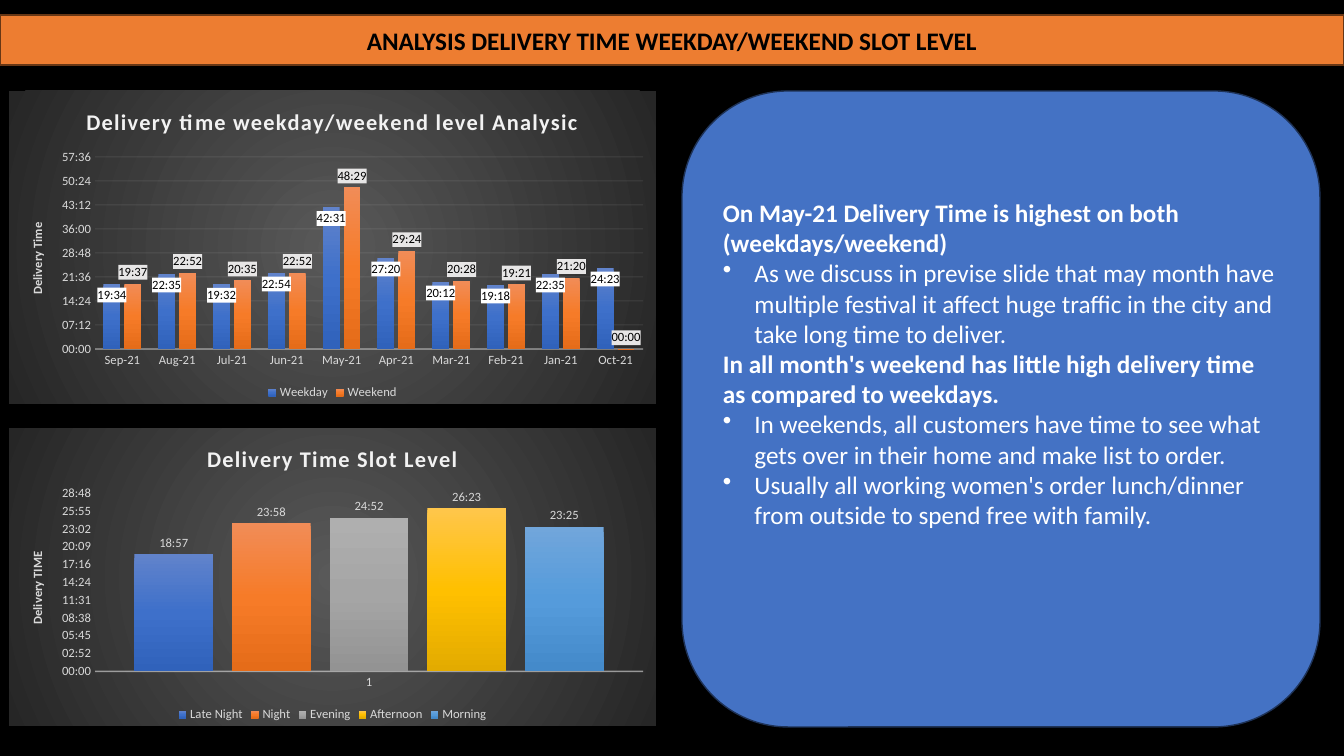
import pptx
import pptx.util
import pptx.dml.color
import pptx.chart.data
import pptx.enum.chart
import pptx.enum.shapes
import pptx.enum.text
import pptx.oxml
import pptx.oxml.ns

Pt = pptx.util.Pt
ANCHOR = pptx.enum.text.MSO_ANCHOR
ALIGN = pptx.enum.text.PP_ALIGN
CHART = pptx.enum.chart
NS = pptx.oxml.ns.nsdecls("a", "c")
qn = pptx.oxml.ns.qn

BLUE = ("6183CB", "3E70CA", "3062BB")
ORANGE = ("F18C57", "F67B28", "E56C19")
GRAY = ("AFAFAF", "A5A5A5", "939393")
GOLD = ("FFC64B", "FFC000", "E3AB00")
SKY = ("71A6DB", "559BDB", "448ACA")


def px(count):
    return round(count * 12192000 / 1344)


def rgb(code):
    return pptx.dml.color.RGBColor.from_string(code)


def days(clock):
    """Turn mm:ss into a fraction of a day."""
    mins, secs = clock.split(":")
    return round((int(mins) * 60 + int(secs)) / 86400, 6)


def grad(codes, shade):
    last = len(codes) - 1
    stops = "".join(
        f'<a:gs pos="{100000 * i // last}"><a:srgbClr val="{code}"/></a:gs>'
        for i, code in enumerate(codes))
    return f'<a:gradFill {NS}><a:gsLst>{stops}</a:gsLst>{shade}</a:gradFill>'


def props(fill):
    return pptx.oxml.parse_xml(
        f'<c:spPr {NS}>{fill}<a:ln><a:noFill/></a:ln></c:spPr>')


class Deck:
    face = "Calibri"
    pale = "D9D9D9"
    light = "F2F2F2"

    def __init__(self):
        self.show = pptx.Presentation()
        self.show.slide_width, self.show.slide_height = px(1344), px(756)
        self.slide = self.show.slides.add_slide(self.show.slide_layouts[5])
        back = self.slide.background.fill
        back.solid()
        back.fore_color.rgb = rgb("000000")

    def font(self, font, size, color, bold=False):
        font.name, font.size, font.bold = self.face, Pt(size), bold
        font.color.rgb = rgb(color)

    def paint(self, shape, fill, line):
        shape.fill.solid()
        shape.fill.fore_color.rgb = rgb(fill)
        shape.line.color.rgb = rgb(line)
        shape.line.width = Pt(1)

    def title(self, text, box, fill, line):
        shape = self.slide.shapes.title
        shape.left, shape.top, shape.width, shape.height = map(px, box)
        self.paint(shape, fill, line)
        frame = shape.text_frame
        frame.text = text
        frame.vertical_anchor = ANCHOR.MIDDLE
        para = frame.paragraphs[0]
        para.alignment = ALIGN.CENTER
        self.font(para.font, 18, "000000", True)

    def panel(self, box, fill, line, items, foot):
        """Rounded box of bold headings and bulleted points."""
        shape = self.slide.shapes.add_shape(
            pptx.enum.shapes.MSO_SHAPE.ROUNDED_RECTANGLE, *map(px, box))
        shape.shadow.inherit = False
        self.paint(shape, fill, line)
        frame = shape.text_frame
        frame.word_wrap = True
        frame.vertical_anchor = ANCHOR.MIDDLE
        frame.margin_bottom = px(foot)
        for i, (head, text) in enumerate(items):
            para = frame.add_paragraph() if i else frame.paragraphs[0]
            para.text = text
            para.alignment = ALIGN.LEFT
            self.font(para.font, 18, "FFFFFF", head)
            if not head:
                self.bullet(para)

    def bullet(self, para):
        form = para._p.get_or_add_pPr()
        form.set("marL", "285750")
        form.set("indent", "-285750")
        mark = form.makeelement(qn("a:buChar"), {"char": "•"})
        form.insert_element_before(mark, "a:tabLst", "a:defRPr", "a:extLst")

    def stroke(self, line, width, alpha):
        line.color.rgb = rgb(self.light)
        line.width = Pt(width)
        tint = line.fill._xPr.find(".//" + qn("a:srgbClr"))
        tint.append(tint.makeelement(qn("a:alpha"), {"val": str(alpha * 1000)}))

    def columns(self, box, title, side, cats, series, top, step, grid):
        """Clustered columns; series rows: name, clocks, shades, place, tag."""
        data = pptx.chart.data.CategoryChartData(number_format="mm:ss")
        data.categories = cats
        for name, clocks, *_ in series:
            data.add_series(name, [days(clock) for clock in clocks])
        chart = self.slide.shapes.add_chart(
            CHART.XL_CHART_TYPE.COLUMN_CLUSTERED, *map(px, box), data).chart
        self.font(chart.font, 10, "000000")
        round_fill = ('<a:path path="circle"><a:fillToRect l="50000" t="50000" '
                      'r="50000" b="50000"/></a:path>')
        chart.element.find(qn("c:chart")).addnext(
            props(grad(("595959", "262626"), round_fill)))

        # Chart title and legend
        chart.has_title = True
        chart.chart_title.include_in_layout = False
        head = chart.chart_title.text_frame
        head.text = title
        self.font(head.paragraphs[0].font, 16, self.light, True)
        head.paragraphs[0].font._element.set("spc", "100")
        chart.has_legend = True
        chart.legend.position = CHART.XL_LEGEND_POSITION.BOTTOM
        chart.legend.include_in_layout = False
        self.font(chart.legend.font, 9, self.pale)

        # Axes
        for axis in (chart.category_axis, chart.value_axis):
            axis.major_tick_mark = CHART.XL_TICK_MARK.NONE
            axis.minor_tick_mark = CHART.XL_TICK_MARK.NONE
            self.font(axis.tick_labels.font, 9, self.pale)
        self.stroke(chart.category_axis.format.line, 1, 54)
        axis.format.line.fill.background()
        axis.tick_labels.number_format = "mm:ss"
        axis.tick_labels.number_format_is_linked = False
        axis.minimum_scale, axis.maximum_scale = 0, top
        axis.major_unit = step
        axis.has_major_gridlines = grid
        if grid:
            self.stroke(axis.major_gridlines.format.line, 0.75, 10)
        frame = axis.axis_title.text_frame
        frame.text = side
        frame._txBody.bodyPr.set("rot", "-5400000")
        frame._txBody.bodyPr.set("vert", "horz")
        self.font(frame.paragraphs[0].font, 9, self.pale, True)

        # Columns and their labels
        plot = chart.plots[0]
        plot.gap_width, plot.overlap = 100, -24
        plot.vary_by_categories = False
        for bars, (_, _, shades, place, tag) in zip(plot.series, series):
            bars.format.fill.background()
            form = bars._element.find(qn("c:spPr"))
            form.replace(form[0], pptx.oxml.parse_xml(
                grad(shades, '<a:lin ang="5400000" scaled="0"/>')))
            labels = bars.data_labels
            labels.show_value = True
            labels.position = place
            labels.number_format = "mm:ss"
            labels.number_format_is_linked = False
            self.font(labels.font, 9, "000000" if tag else self.pale)
            if tag:
                labels._element.find(qn("c:numFmt")).addnext(props(
                    f'<a:solidFill><a:srgbClr val="{tag}"/></a:solidFill>'))


def main():
    deck = Deck()
    inner = CHART.XL_LABEL_POSITION.INSIDE_END
    outer = CHART.XL_LABEL_POSITION.OUTSIDE_END

    # Title band
    deck.title("ANALYSIS DELIVERY TIME WEEKDAY/WEEKEND SLOT LEVEL",
               (0, 15, 1344, 50), "ED7D31", "683715")

    # Weekday and weekend by month
    months = "Sep Aug Jul Jun May Apr Mar Feb Jan Oct".split()
    week = "19:34 22:36 19:32 22:54 42:32 27:21 20:12 19:19 22:35 24:24"
    rest = "19:38 22:52 20:35 22:53 48:29 29:25 20:28 19:22 21:20 00:00"
    deck.columns(
        (9, 91, 647, 313), "Delivery time weekday/weekend level Analysic",
        "Delivery Time", [f"{month}-21" for month in months],
        [("Weekday", week.split(), BLUE, inner, "FFFFFF"),
         ("Weekend", rest.split(), ORANGE, outer, "E7E6E6")],
        0.04, 0.005, True)

    # Time slots
    slots = [("Late Night", "18:58", BLUE), ("Night", "23:59", ORANGE),
             ("Evening", "24:53", GRAY), ("Afternoon", "26:23", GOLD),
             ("Morning", "23:25", SKY)]
    deck.columns(
        (9, 428, 647, 298), "Delivery Time Slot Level", "Delivery TIME", ["1"],
        [(name, [clock], shades, outer, None) for name, clock, shades in slots],
        0.02, 0.002, False)

    # Findings
    deck.panel((682, 91, 638, 636), "4472C4", "1E3256", [
        (True, "On May-21 Delivery Time is highest on both (weekdays/weekend)"),
        (False, "As we discuss in previse slide that may month have multiple "
                "festival it affect huge traffic in the city and take long "
                "time to deliver."),
        (True, "In all month's weekend has little high delivery time as "
               "compared to weekdays."),
        (False, "In weekends, all customers have time to see what gets over "
                "in their home and make list to order."),
        (False, "Usually all working women's order lunch/dinner from outside "
                "to spend free with family."),
    ], 96)

    deck.show.save("out.pptx")


if __name__ == "__main__":
    main()
